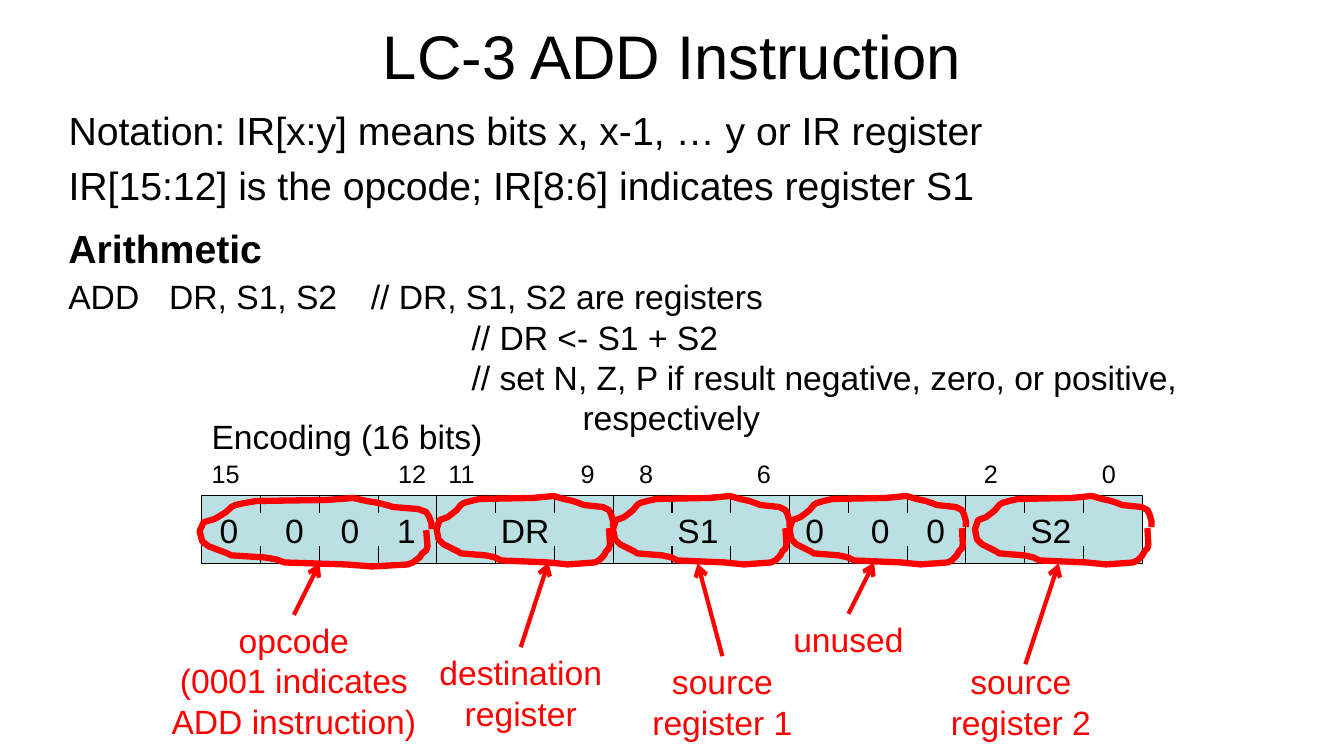
"""Build the slide that explains how the LC-3 ADD instruction is encoded."""
from lxml.etree import SubElement as Sub
from pptx import Presentation
from pptx.dml.color import RGBColor as Rgb
from pptx.enum.shapes import MSO_CONNECTOR as Conn, MSO_SHAPE as Shape
from pptx.enum.text import MSO_ANCHOR as Anchor, MSO_AUTO_SIZE as Auto, PP_ALIGN as Align
from pptx.oxml.ns import qn
from pptx.util import Inches, Pt

INK = {"black": "000000", "red": "FF0000", "teal": "BBE0E3"}
LEFT, TOP, WIDE, HIGH, TICK = 2, 4.92, 9.33, 0.67, 0.17
BITS = 16
WALLS = (4, 7, 10, 13)
STOPS = (0.65, 1.2, 1.76)

NOTES = [
    "Notation: IR[x:y] means bits x, x-1, … y or IR register",
    "IR[15:12] is the opcode; IR[8:6] indicates register S1",
]
CODE = [
    ("ADD\tDR, S1, S2\t// DR, S1, S2 are registers", 0, 0),
    ("// DR <- S1 + S2", 4, 0),
    ("// set N, Z, P if result negative, zero, or positive,\vrespectively", 5.1, -1.1),
]
DIGITS = [("0\t0\t0\t1", 2.08, 2.17), ("0\t0\t0", 7.89, 1.61)]
FIELDS = [("DR", 4.87, 0.69), ("S1", 6.62, 0.61), ("S2", 10.12, 0.61)]
MARKS = [
    ("15", 2, 0.48), ("12", 3.85, 0.48), ("11", 4.35, 0.46), ("9", 5.66, 0.34),
    ("8", 6.24, 0.34), ("6", 7.41, 0.34), ("2", 9.66, 0.34), ("0", 10.83, 0.34),
]
LOOP = [
    (175, 31), (175, 25), (173, 18), (171, 14), (165, 11), (146, 9), (141, 7),
    (135, 5), (126, 3), (116, 0), (96, 2), (43, 3), (34, 5), (27, 7), (24, 9),
    (20, 14), (15, 18), (11, 21), (3, 24), (0, 33), (2, 43), (7, 48), (15, 52),
    (21, 55), (24, 57), (49, 59), (58, 61), (64, 64), (111, 66), (130, 68),
    (157, 66), (161, 64), (166, 59), (168, 55), (171, 52), (172, 48), (171, 32),
]
RINGS = [(1.98, 4.94, 2.3)] + [(x, TOP, 1.75) for x in (4.33, 6.08, 7.83, 9.67)]
LABELS = [
    (["opcode", "(0001 indicates ADD instruction)"], (1.5, 6.1, 2.83, 1.31), (2.92, 6.1), (3.17, 5.59)),
    (["destination", "register"], (3.75, 6.42, 2.83, 0.91), (5.17, 6.42), (5.44, 5.58)),
    (["source register 1"], (6.08, 6.51, 2.17, 0.91), (7.17, 6.51), (6.92, 5.59)),
    (["unused"], (7, 6.09, 2.83, 0.5), (8.42, 6.09), (8.67, 5.58)),
    (["source register 2"], (9.25, 6.51, 1.75, 0.91), (10.17, 6.59), (10.5, 5.59)),
]


def paint(name):
    return Rgb.from_string(INK[name])


def style(font, size, ink="black", bold=False):
    for key, value in {"name": "Arial", "size": Pt(size), "bold": bold}.items():
        setattr(font, key, value)
    font.color.rgb = paint(ink)


def place(shape, *box):
    for key, value in zip(("left", "top", "width", "height"), box):
        setattr(shape, key, Inches(value))


def set_tabs(para, stops):
    tabs = Sub(para._p.get_or_add_pPr(), qn("a:tabLst"))
    for stop in stops:
        Sub(tabs, qn("a:tab"), pos=str(Inches(stop)), algn="l")


def indent(para, left, first):
    props = para._p.get_or_add_pPr()
    props.set("marL", str(Inches(left)))
    props.set("indent", str(Inches(first)))
    return props


def write(frame, lines, size, ink="black", bold=False, align=Align.LEFT):
    for i, line in enumerate(lines):
        para = frame.add_paragraph() if i else frame.paragraphs[0]
        para.text = line
        para.alignment = align
        for run in para.runs:
            style(run.font, size, ink, bold)


def add_text(slide, lines, box, size=24, wrap=False, **look):
    shape = slide.shapes.add_textbox(*map(Inches, box))
    shape.text_frame.word_wrap = wrap
    write(shape.text_frame, lines, size, **look)
    return shape


def add_line(slide, start, end, ink="black", width=0.75):
    line = slide.shapes.add_connector(Conn.STRAIGHT, *map(Inches, start + end))
    line.line.color.rgb = paint(ink)
    line.line.width = Pt(width)
    Sub(line._element.spPr, qn("a:effectLst"))
    return line


def add_bar(slide):
    bar = slide.shapes.add_shape(Shape.RECTANGLE, *map(Inches, (LEFT, TOP, WIDE, HIGH)))
    bar.shadow.inherit = False
    bar.fill.solid()
    bar.fill.fore_color.rgb = paint("teal")
    bar.line.color.rgb = paint("black")
    bar.line.width = Pt(0.75)
    base = TOP + HIGH
    for bit in range(1, BITS):
        x = LEFT + bit * WIDE / BITS
        spans = [(TOP, base)] if bit in WALLS else [(TOP, TOP + TICK), (base - TICK, base)]
        for high, low in spans:
            add_line(slide, (x, high), (x, low))


def add_ring(slide, left, top, width):
    grow = width / 1.75
    spots = [(Inches(left + x / 100 * grow), Inches(top + y / 100)) for x, y in LOOP]
    pen = slide.shapes.build_freeform(*spots[0])
    pen.add_line_segments(spots[1:], close=False)
    ring = pen.convert_to_shape()
    ring.shadow.inherit = False
    ring.fill.background()
    ring.line.color.rgb = paint("red")
    ring.line.width = Pt(4.5)


def add_label(slide, lines, box, start, end):
    label = add_text(slide, lines, box, wrap=True, ink="red", align=Align.CENTER)
    arrow = add_line(slide, start, end, "red", 3)
    Sub(arrow.line._get_or_add_ln(), qn("a:tailEnd"), type="arrow")
    if start[1] == box[1]:
        arrow.begin_connect(label, 0)


def add_heads(slide):
    title, body = slide.placeholders
    place(title, 2.42, -0.08, 8.5, 1.25)
    place(body, 0.58, 1, 12, 1.25)
    title.text_frame.vertical_anchor = Anchor.MIDDLE
    write(title.text_frame, ["LC-3 ADD Instruction"], 44, align=Align.CENTER)
    write(body.text_frame, NOTES, 28)
    for shape in (title, body):
        shape.text_frame.auto_size = Auto.NONE
    for i, para in enumerate(body.text_frame.paragraphs):
        para.space_before = Pt(6 * i)
        Sub(indent(para, 0, 0), qn("a:buNone"))


def add_code(slide):
    add_text(slide, ["Arithmetic"], (0.58, 2.18, 2.14, 0.57), 28, bold=True)
    lines = [line for line, *_ in CODE]
    code = add_text(slide, lines, (0.58, 2.69, 12, 1.72), wrap=True)
    paras = code.text_frame.paragraphs
    for para, (_, left, first) in zip(paras, CODE):
        indent(para, left, first)
    set_tabs(paras[0], (2, 4))


def main():
    deck = Presentation()
    deck.slide_width, deck.slide_height = Inches(13.33), Inches(7.5)
    slide = deck.slides.add_slide(deck.slide_layouts[1])
    add_heads(slide)
    add_code(slide)
    add_bar(slide)
    for text, left, width in DIGITS:
        box = add_text(slide, [text], (left, 5.01, width, 0.5), wrap=True)
        set_tabs(box.text_frame.paragraphs[0], STOPS)
    for text, left, width in FIELDS:
        add_text(slide, [text], (left, 5.01, width, 0.5))
    add_text(slide, ["Encoding (16 bits)"], (2, 4.08, 2.91, 0.5))
    for text, left, width in MARKS:
        add_text(slide, [text], (left, 4.5, width, 0.4), 18)
    for ring in RINGS:
        add_ring(slide, *ring)
    for label in LABELS:
        add_label(slide, *label)
    deck.save("out.pptx")


if __name__ == "__main__":
    main()
